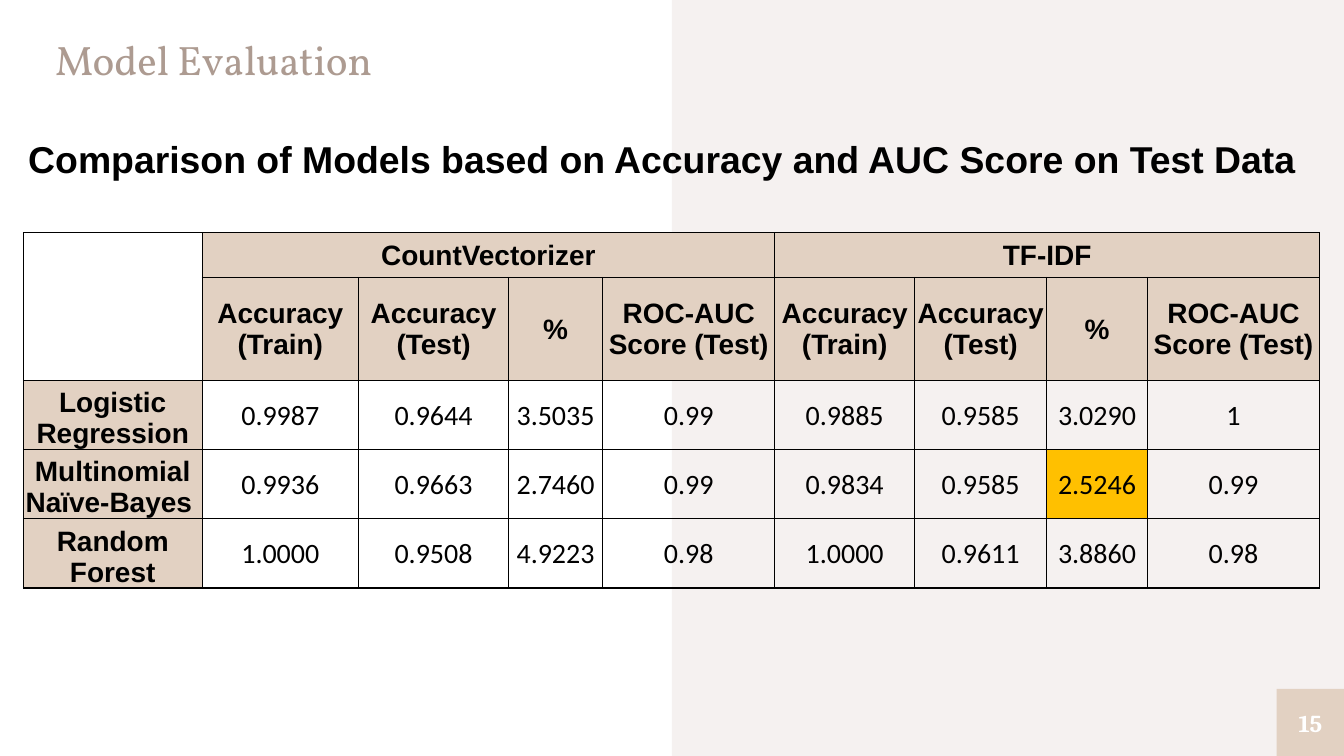
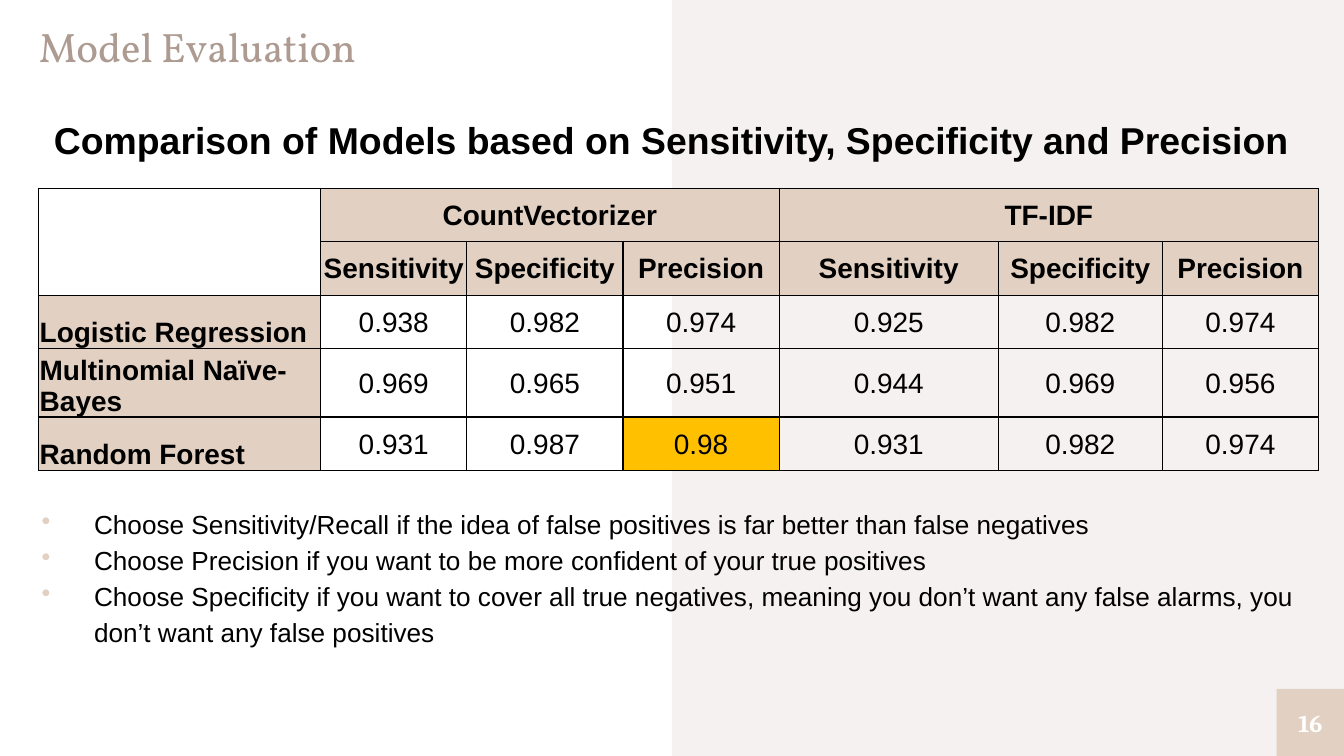
import pptx
import pptx.dml.color
import pptx.enum.shapes
import pptx.enum.text
import pptx.oxml.ns
import pptx.util
from lxml import etree

Pt = pptx.util.Pt
RGBColor = pptx.dml.color.RGBColor
ALIGN = pptx.enum.text.PP_ALIGN
ANCHOR = pptx.enum.text.MSO_ANCHOR
RECTANGLE = pptx.enum.shapes.MSO_SHAPE.RECTANGLE
qn = pptx.oxml.ns.qn

WHITE = RGBColor(0xFF, 0xFF, 0xFF)
BLACK = RGBColor(0x00, 0x00, 0x00)
PALE = RGBColor(0xF5, 0xF1, 0xF0)
SAND = RGBColor(0xE2, 0xD1, 0xC2)
TAUPE = RGBColor(0xAD, 0x9B, 0x91)
AMBER = RGBColor(0xFF, 0xC0, 0x00)

SLIDE_WIDTH, SLIDE_HEIGHT = 720, 405
PAGE_BOX = 36
VECTORIZERS = ["CountVectorizer", "TF-IDF"]


def add_run(paragraph, text, size, font="Arial", color=BLACK, bold=False):
    run = paragraph.add_run()
    run.text = text
    run.font.size = Pt(size)
    run.font.name = font
    run.font.bold = bold
    run.font.color.rgb = color


def set_margins(owner, left=0, top=0, right=0, bottom=0):
    owner.margin_left, owner.margin_top = Pt(left), Pt(top)
    owner.margin_right, owner.margin_bottom = Pt(right), Pt(bottom)


def set_indent(paragraph, left, first=0):
    properties = paragraph._p.get_or_add_pPr()
    properties.set("marL", str(Pt(left)))
    properties.set("indent", str(Pt(first)))
    return properties


def add_block(slide, left, top, width, height, color):
    block = slide.shapes.add_shape(RECTANGLE, Pt(left), Pt(top), Pt(width), Pt(height))
    block.shadow.inherit = False
    block.fill.solid()
    block.fill.fore_color.rgb = color
    block.line.fill.background()
    return block


def add_text_frame(slide, left, top, width, height):
    box = slide.shapes.add_textbox(Pt(left), Pt(top), Pt(width), Pt(height))
    frame = box.text_frame
    frame.word_wrap = True
    set_margins(frame)
    return frame


def start_slide(deck, number):
    slide = deck.slides.add_slide(deck.slide_layouts[5])
    slide.background.fill.solid()
    slide.background.fill.fore_color.rgb = WHITE
    half = SLIDE_WIDTH / 2
    band = add_block(slide, half, 0, half, SLIDE_HEIGHT, PALE)
    slide.shapes.title.element.addprevious(band.element)
    page = add_block(slide, SLIDE_WIDTH - PAGE_BOX, SLIDE_HEIGHT - PAGE_BOX,
                     PAGE_BOX, PAGE_BOX, SAND)
    frame = page.text_frame
    frame.vertical_anchor = ANCHOR.MIDDLE
    set_margins(frame)
    paragraph = frame.paragraphs[0]
    paragraph.alignment = ALIGN.CENTER
    add_run(paragraph, str(number), 13, "Cambria", WHITE, True)
    return slide


def set_title(slide, left, top, width, height, indent=0, bottom=0):
    title = slide.shapes.title
    title.left, title.top = Pt(left), Pt(top)
    title.width, title.height = Pt(width), Pt(height)
    frame = title.text_frame
    frame.word_wrap = True
    frame.auto_size = pptx.enum.text.MSO_AUTO_SIZE.NONE
    frame.vertical_anchor = ANCHOR.BOTTOM
    set_margins(frame, bottom=bottom)
    paragraph = frame.paragraphs[0]
    paragraph.alignment = ALIGN.LEFT
    paragraph.line_spacing = 0.9
    set_indent(paragraph, indent)
    add_run(paragraph, "Model Evaluation", 22, "Vollkorn", TAUPE)


def add_heading(slide, text, left, top, width, indent=0):
    paragraph = add_text_frame(slide, left, top, width, 36).paragraphs[0]
    paragraph.line_spacing = 1.15
    set_indent(paragraph, indent)
    add_run(paragraph, text, 20, bold=True)


def add_bullets(slide, items, left, top, width, height):
    frame = add_text_frame(slide, left, top, width, height)
    for index, item in enumerate(items):
        paragraph = frame.paragraphs[0] if index == 0 else frame.add_paragraph()
        paragraph.line_spacing = 1.15
        properties = set_indent(paragraph, 36, -28)
        bullet_color = etree.SubElement(properties, qn("a:buClr"))
        etree.SubElement(bullet_color, qn("a:srgbClr"), val=str(SAND))
        etree.SubElement(properties, qn("a:buChar"), char="•")
        add_run(paragraph, item, 14)


def add_borders(cell):
    properties = cell._tc.get_or_add_tcPr()
    for side in ("a:lnL", "a:lnR", "a:lnT", "a:lnB"):
        line = etree.SubElement(properties, qn(side), w=str(Pt(0.75)))
        fill = etree.SubElement(line, qn("a:solidFill"))
        etree.SubElement(fill, qn("a:srgbClr"), val=str(BLACK))


def fill_cell(cell, text, color, font, bold, align, anchor):
    set_margins(cell, 0.7, 0.7, 0.7, 0)
    cell.vertical_anchor = anchor
    add_borders(cell)
    if color is None:
        cell.fill.background()
    else:
        cell.fill.solid()
        cell.fill.fore_color.rgb = color
    if text:
        paragraph = cell.text_frame.paragraphs[0]
        paragraph.alignment = align
        add_run(paragraph, text, 15, font, bold=bold)


def add_score_table(slide, left, top, widths, heights, metrics, scores, best,
                    value_font, label_align):
    table = slide.shapes.add_table(len(heights), len(widths), Pt(left), Pt(top),
                                   Pt(sum(widths)), Pt(sum(heights))).table
    table.first_row = table.horz_banding = False
    for column, width in zip(table.columns, widths):
        column.width = Pt(width)
    for row, height in zip(table.rows, heights):
        row.height = Pt(height)

    span = len(metrics)
    groups = [""]
    for vectorizer in VECTORIZERS:
        groups += [vectorizer] + [""] * (span - 1)
    grid = [groups, [""] + metrics * len(VECTORIZERS)]
    grid += [[model] + values.split() for model, values in scores]

    for r, texts in enumerate(grid):
        for c, text in enumerate(texts):
            is_label = c == 0 and r > 1
            is_header = r < 2 and c > 0
            is_value = r > 1 and c > 0
            color = SAND if is_label or is_header else None
            fill_cell(table.cell(r, c), text,
                      AMBER if (r, c) == best else color,
                      value_font if is_value else "Arial",
                      not is_value,
                      label_align if is_label else ALIGN.CENTER,
                      ANCHOR.BOTTOM if is_label else ANCHOR.MIDDLE)

    table.cell(0, 0).merge(table.cell(1, 0))
    for first in range(1, len(widths), span):
        table.cell(0, first).merge(table.cell(0, first + span - 1))


def build_accuracy_slide(deck):
    slide = start_slide(deck, 15)
    set_title(slide, 21.6, 15.8, 619, 55.5, indent=8, bottom=26)
    add_heading(slide, "Comparison of Models based on Accuracy and AUC Score on Test Data",
                15.1, 69.1, 694.8)
    add_score_table(
        slide, 12.5, 124.6,
        [95.8, 83.8, 80.4, 50.4, 92.2, 75, 70.7, 54, 92.2],
        [24, 55.2] + [37.1] * 3,
        ["Accuracy (Train)", "Accuracy (Test)", "%", "ROC-AUC Score (Test)"],
        [("Logistic Regression", "0.9987 0.9644 3.5035 0.99 0.9885 0.9585 3.0290 1"),
         ("Multinomial Naïve-Bayes ", "0.9936 0.9663 2.7460 0.99 0.9834 0.9585 2.5246 0.99"),
         ("Random Forest", "1.0000 0.9508 4.9223 0.98 1.0000 0.9611 3.8860 0.98")],
        (3, 7), "Calibri", ALIGN.CENTER)


def build_precision_slide(deck):
    slide = start_slide(deck, 16)
    set_title(slide, 20.9, 11.5, 285, 26.6)
    add_heading(slide, "Comparison of Models based on Sensitivity, Specificity and Precision",
                20.9, 59, 681.8, indent=8)
    add_score_table(
        slide, 20.6, 101,
        [151.2, 78.3, 83.7, 83.7, 117.4, 87.9, 83.7],
        [28.6] * 5,
        ["Sensitivity", "Specificity", "Precision"],
        [("Logistic Regression", "0.938 0.982 0.974 0.925 0.982 0.974"),
         ("Multinomial Naïve-Bayes", "0.969 0.965 0.951 0.944 0.969 0.956"),
         ("Random Forest", "0.931 0.987 0.98 0.931 0.982 0.974")],
        (4, 3), "Arial", ALIGN.LEFT)
    add_bullets(slide, [
        "Choose Sensitivity/Recall if the idea of false positives is far better than false negatives",
        "Choose Precision if you want to be more confident of your true positives",
        "Choose Specificity if you want to cover all true negatives, meaning you don’t want "
        "any false alarms, you don’t want any false positives",
    ], 14.4, 270, 681.8, 105)


def main():
    deck = pptx.Presentation()
    deck.slide_width, deck.slide_height = Pt(SLIDE_WIDTH), Pt(SLIDE_HEIGHT)
    build_accuracy_slide(deck)
    build_precision_slide(deck)
    deck.save("out.pptx")


if __name__ == "__main__":
    main()
